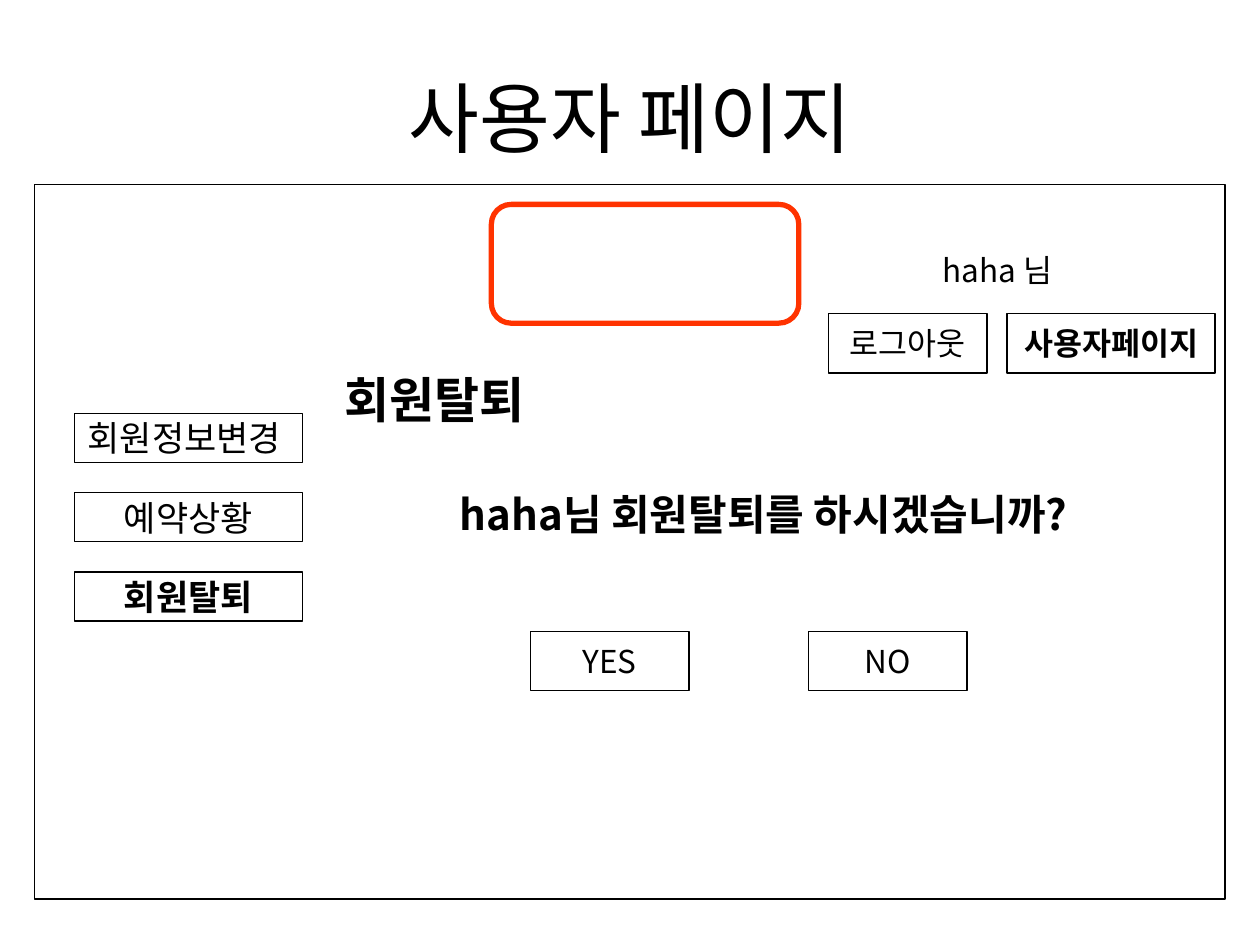
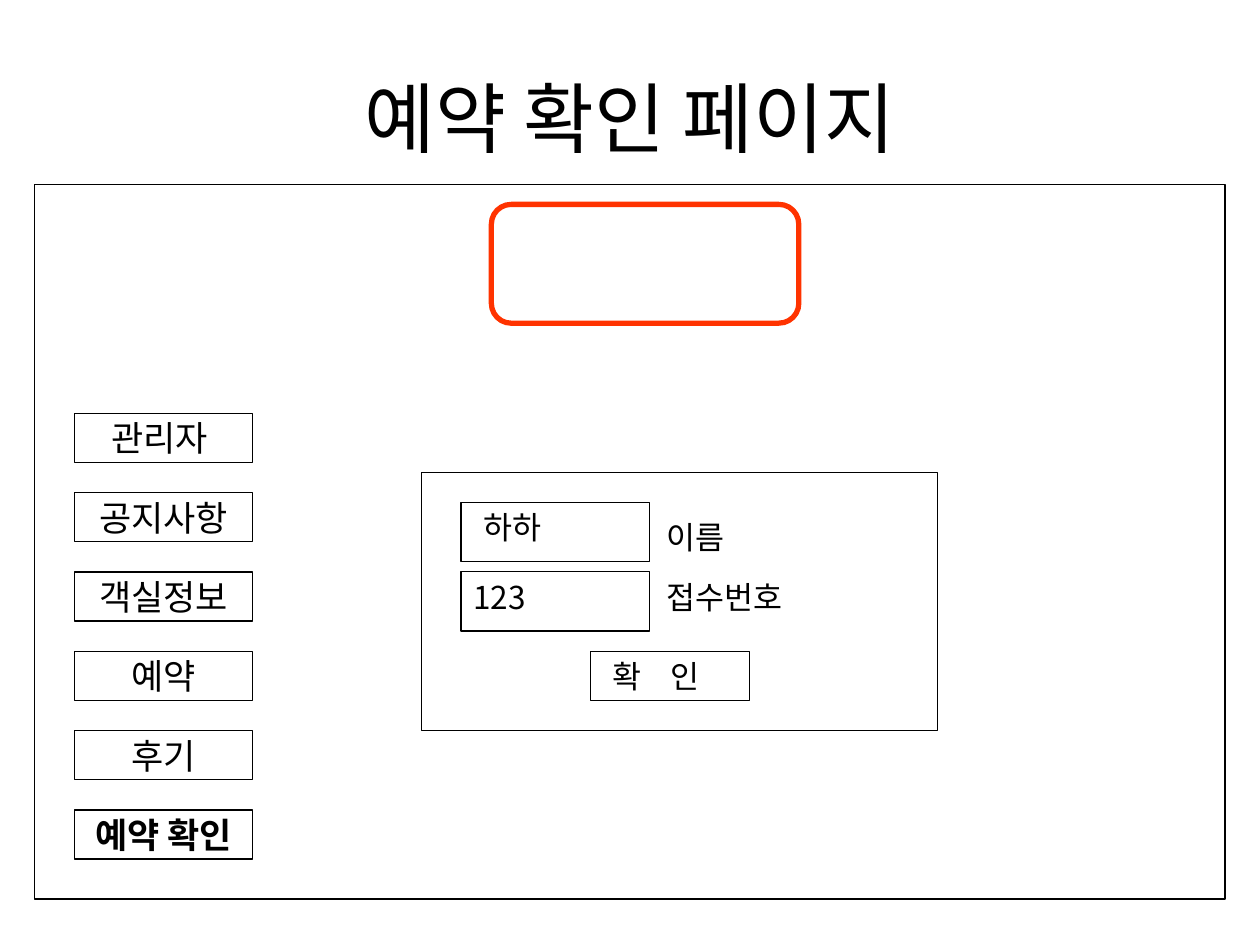
from lxml import etree
from pptx import Presentation
from pptx.dml.color import RGBColor
from pptx.enum.shapes import MSO_SHAPE as SHAPE
from pptx.enum.text import MSO_ANCHOR as ANCHOR, PP_ALIGN as ALIGN
from pptx.oxml.ns import qn
from pptx.util import Pt

COLORS = {"ink": "000000", "banner": "FF3300"}
FONT = "Noto Sans CJK KR"

MENU_LEFT, MENU_TOP, MENU_STEP, MENU_HEIGHT = 42.5, 236.1, 45.35, 28.1
BUTTON_WIDTH, BUTTON_HEIGHT = 90.7, 34


def write(tf, text, size=18, bold=False, color="ink", align=ALIGN.LEFT,
          anchor=ANCHOR.TOP, wrap=True, tab=None):
    """Put one formatted paragraph into a text frame."""
    tf.word_wrap = wrap
    tf.vertical_anchor = anchor
    p = tf.paragraphs[0]
    p.alignment = align
    if tab:
        tabs = etree.SubElement(p._p.get_or_add_pPr(), qn("a:tabLst"))
        etree.SubElement(tabs, qn("a:tab"), pos=str(Pt(tab)), algn="l")
    r = p.add_run()
    r.text = text
    r.font.size = Pt(size)
    r.font.bold = bold
    r.font.name = FONT
    r.font.color.rgb = RGBColor.from_string(COLORS[color])
    # Korean text takes its font from the East Asian slot
    etree.SubElement(r._r.get_or_add_rPr(), qn("a:ea"), typeface=FONT)


class Page:
    """A slide of the site mock-up, with the frame and banner in place."""

    def __init__(self, prs, title):
        self.s = prs.slides.add_slide(prs.slide_layouts[6])
        self.text(36, 21.6, 648, 90, title, size=44,
                  align=ALIGN.CENTER, anchor=ANCHOR.MIDDLE)
        self.box(19.7, 105.6, 680.4, 408.2)
        # Plain banner at the head of the site
        self.shape(SHAPE.ROUNDED_RECTANGLE, 280.8, 116.8, 175.7, 67.9, "banner", 3)

    def shape(self, kind, x, y, w, h, color="ink", weight=0.75):
        sp = self.s.shapes.add_shape(kind, Pt(x), Pt(y), Pt(w), Pt(h))
        sp.shadow.inherit = False
        sp.fill.background()
        sp.line.color.rgb = RGBColor.from_string(COLORS[color])
        sp.line.width = Pt(weight)
        return sp

    def text(self, x, y, w, h, text, **fmt):
        sp = self.s.shapes.add_textbox(Pt(x), Pt(y), Pt(w), Pt(h))
        write(sp.text_frame, text, **fmt)

    def box(self, x, y, w, h, text=None, **fmt):
        sp = self.shape(SHAPE.RECTANGLE, x, y, w, h)
        if text:
            write(sp.text_frame, text, align=ALIGN.CENTER,
                  anchor=ANCHOR.MIDDLE, wrap=False, **fmt)

    def button(self, x, y, text, w=BUTTON_WIDTH, **fmt):
        self.box(x, y, w, BUTTON_HEIGHT, text, **fmt)

    def menu(self, width, items):
        """Stack the menu items; the last one is the current page."""
        for i, item in enumerate(items):
            self.box(MENU_LEFT, MENU_TOP + i * MENU_STEP, width, MENU_HEIGHT,
                     item, size=20, bold=item == items[-1])


def user_page(prs):
    page = Page(prs, "사용자 페이지")
    page.menu(130.4, ["회원정보변경 ", "예약상황", "회원탈퇴"])

    # Account area
    page.button(473.4, 179.2, "로그아웃")
    page.button(575.4, 179.2, "사용자페이지", w=119, bold=True)
    page.text(513.4, 139.7, 113, 28.8, "haha 님", align=ALIGN.CENTER)

    # Question and answers
    page.text(190, 207.4, 198.7, 41, "회원탈퇴", size=28, bold=True)
    page.text(206.6, 275.8, 459.4, 36, "haha님 회원탈퇴를 하시겠습니까?",
              size=24, bold=True, align=ALIGN.CENTER)
    for x, answer in ((303, "YES"), (462, "NO")):
        page.button(x, 360.8, answer)


def booking_page(prs):
    page = Page(prs, "예약 확인 페이지")
    page.menu(102, ["관리자 ", "공지사항", "객실정보", "예약", "후기", "예약 확인"])

    # Form with its fields: top, value left, value, label top, label
    page.box(241, 270, 294.8, 147.5)
    for y, value_x, value, label_y, label in (
            (287, 269.3, "하하", 292.3, "이름"),
            (326.7, 263.5, "123", 326.7, "접수번호")):
        page.box(263.4, y, 108, BUTTON_HEIGHT)
        page.text(value_x, y, 96.5, 28.8, value)
        page.text(373.8, label_y, 110, 28.8, label)

    # Confirm button
    page.box(337.5, 372.1, BUTTON_WIDTH, MENU_HEIGHT)
    page.text(343.2, 372.1, 85, 28.8, "확\t인", tab=32.7)


def main():
    prs = Presentation()
    prs.slide_width, prs.slide_height = Pt(720), Pt(540)
    user_page(prs)
    booking_page(prs)
    prs.save("out.pptx")


if __name__ == "__main__":
    main()
